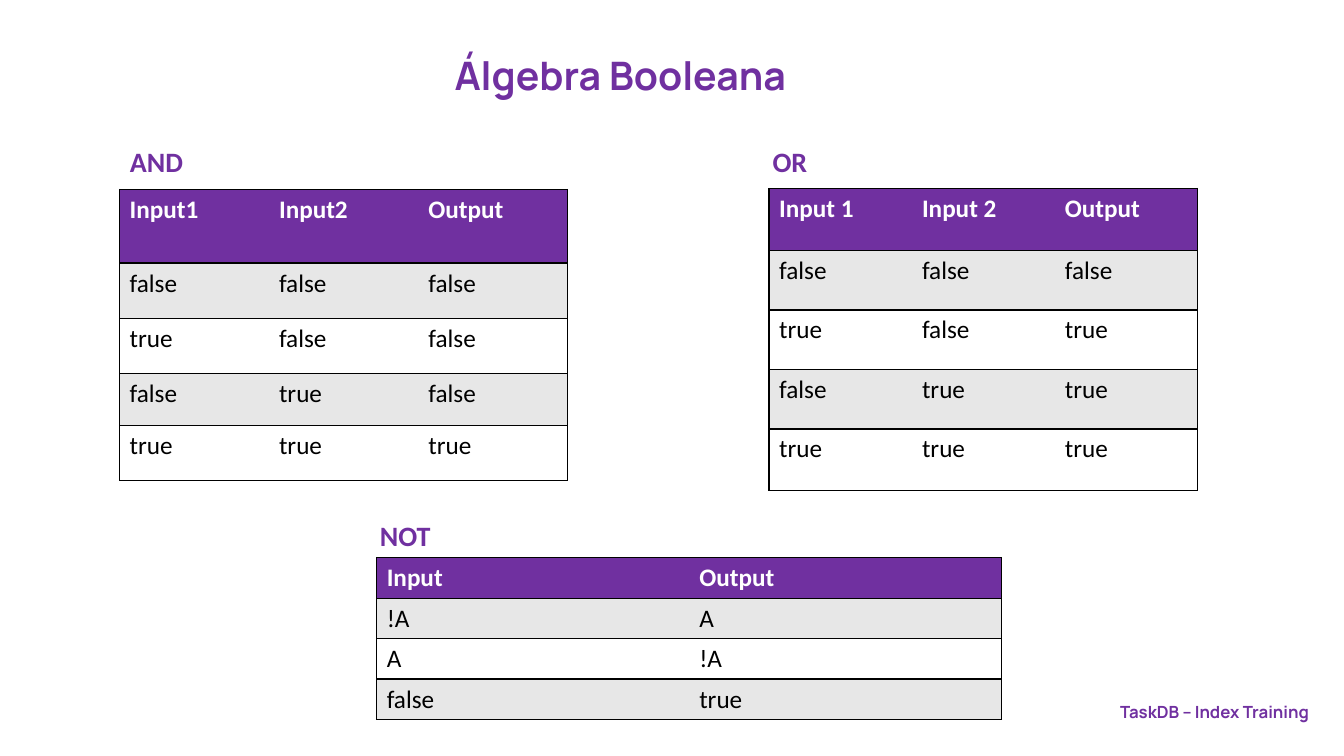
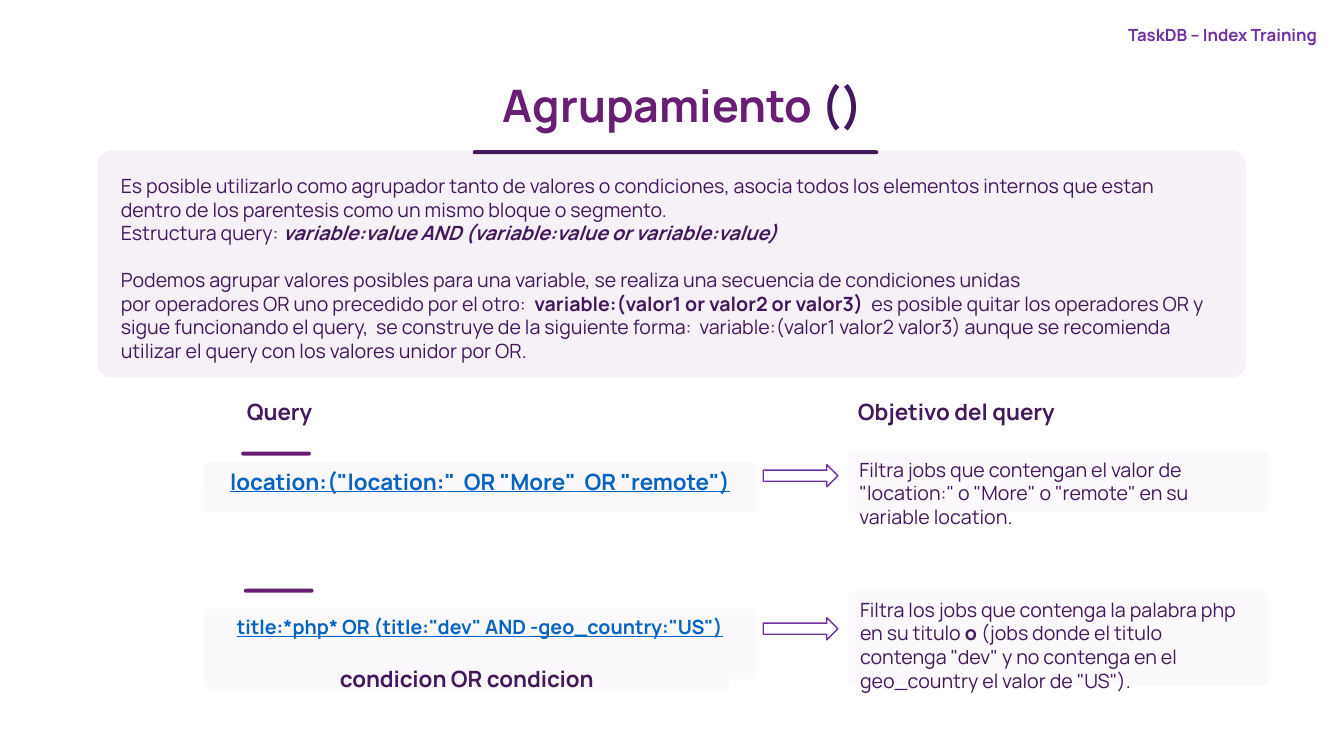
from lxml import etree
from pptx import Presentation, util as u
from pptx.dml.color import RGBColor
from pptx.enum import shapes, text
from pptx.oxml import ns

# Shared look
COLOURS = {
    "purple": "7030A0", "plum": "681E73", "ink": "44185D", "link": "0563C1",
    "panel": "ECE4EE", "card": "FBF9FB", "band": "E7E7E7",
    "white": "FFFFFF", "black": "000000",
}
WIDTH, HEIGHT = u.Inches(13.33), u.Inches(7.5)
FONT, TABLE_FONT = "Manrope", "Calibri"
FOOTER = "TaskDB – Index Training"
CENTER = text.PP_ALIGN.CENTER
ROUND = shapes.MSO_SHAPE.ROUNDED_RECTANGLE
CARD_CORNER, BAR_CORNER = 0.061, 0.5
BAR_HEIGHT = 0.53


def colour(name):
    return RGBColor.from_string(COLOURS[name])


def across(share):
    """Percent of the slide's width."""
    return int(WIDTH * share / 100)


def down(share):
    """Percent of the slide's height."""
    return int(HEIGHT * share / 100)


def place(left, top, width, height):
    return across(left), down(top), across(width), down(height)


# Text
def tie(words):
    """Keep the words on one line with no-break spaces."""
    return words.replace(" ", chr(160))


def style(span, size, ink, bold=False, italic=False, underline=False, font=FONT):
    span.font.name, span.font.size = font, u.Pt(size)
    span.font.bold, span.font.italic = bold, italic
    span.font.underline = underline
    span.font.color.rgb = colour(ink)


def write(box, paragraphs, align=text.PP_ALIGN.LEFT, **look):
    """Each paragraph is a string or a list of (string, changes to the look)."""
    frame = box.text_frame
    frame.word_wrap = True
    frame.vertical_anchor = text.MSO_ANCHOR.TOP
    for index, parts in enumerate(paragraphs):
        para = frame.add_paragraph() if index else frame.paragraphs[0]
        para.alignment = align
        if isinstance(parts, str):
            parts = [(parts, {})]
        for words, changes in parts:
            span = para.add_run()
            span.text = words
            style(span, **{**look, **changes})
    return frame


def add_text(page, area, paragraphs, **look):
    return write(page.shapes.add_textbox(*place(*area)), paragraphs, **look)


def add_footer(page, left, top):
    add_text(page, (left, top, 16.6, 4), [FOOTER], size=12, ink="purple", bold=True)


# Shapes
def add_round(page, area, fill, corner=CARD_CORNER, opacity=None):
    box = page.shapes.add_shape(ROUND, *place(*area))
    box.adjustments[0] = corner
    box.shadow.inherit = False
    box.fill.solid()
    box.fill.fore_color.rgb = colour(fill)
    box.line.fill.background()
    if opacity:
        tint = box.fill._xPr.find(".//" + ns.qn("a:srgbClr"))
        etree.SubElement(tint, ns.qn("a:alpha"), val=str(opacity * 1000))
    return box


def add_bar(page, left, top, width, fill):
    add_round(page, (left, top, width, BAR_HEIGHT), fill, BAR_CORNER)


def add_card(page, area, paragraphs, **look):
    write(add_round(page, area, "card"), paragraphs, **look)


def add_arrow(page, top):
    arrow = page.shapes.add_shape(shapes.MSO_SHAPE.RIGHT_ARROW,
                                  *place(56.79, top, 5.55, 2.93))
    arrow.shadow.inherit = False
    arrow.fill.background()
    arrow.line.color.rgb = colour("purple")
    arrow.line.width = u.Pt(1)


# Tables
def set_borders(cell, sides):
    """Draw the named sides in black and leave the others empty."""
    properties = cell._tc.get_or_add_tcPr()
    for index, side in enumerate("LRTB"):
        line = etree.Element(ns.qn("a:ln" + side), w=str(u.Pt(1)))
        if side in sides:
            fill = etree.SubElement(line, ns.qn("a:solidFill"))
            etree.SubElement(fill, ns.qn("a:srgbClr"), val=COLOURS["black"])
        else:
            etree.SubElement(line, ns.qn("a:noFill"))
        properties.insert(index, line)


def add_truth_table(page, name, name_at, table_at, width, heights, rows):
    add_text(page, (*name_at, 6, 5.87), [name],
             size=20, ink="purple", bold=True, font=TABLE_FONT)
    count = len(rows[0])
    area = place(*table_at, width, sum(heights))
    table = page.shapes.add_table(len(rows), count, *area).table
    table.horz_banding = False
    for column in table.columns:
        column.width = across(width / count)
    for r, (height, values) in enumerate(zip(heights, rows)):
        table.rows[r].height = down(height)
        header = r == 0
        fill = "purple" if header else "band" if r % 2 else "white"
        for c, value in enumerate(values):
            cell = table.cell(r, c)
            cell.text_frame.text = value
            style(cell.text_frame.paragraphs[0].runs[0], 18,
                  "white" if header else "black", bold=header, font=TABLE_FONT)
            cell.fill.solid()
            cell.fill.fore_color.rgb = colour(fill)
            set_borders(cell, "TB" + "L" * (c == 0) + "R" * (c == count - 1))


def gate_rows(header, operation):
    """Truth table of a gate with two inputs."""
    inputs = [(a, b) for b in (False, True) for a in (False, True)]
    return [header] + [[str(value).lower() for value in (a, b, operation(a, b))]
                       for a, b in inputs]


# Slides
def build_boolean_page(page):
    add_truth_table(page, "AND", (8.93, 18.4), (8.9, 25.07), 33.35,
                    [9.73, 7.33, 7.33, 6.8, 7.33],
                    gate_rows(["Input1", "Input2", "Output"], lambda a, b: a and b))
    add_truth_table(page, "OR", (56.74, 18.4), (57.22, 24.93), 31.9,
                    [8.2, 7.87, 7.87, 7.87, 8.13],
                    gate_rows(["Input 1", "Input 2", "Output"], lambda a, b: a or b))
    add_truth_table(page, "NOT", (27.53, 67.87), (28.03, 73.77), 46.51, [5.35] * 4,
                    [["Input", "Output"], ["!A", "A"], ["A", "!A"], ["false", "true"]])
    add_text(page, (33.08, 6.13, 40.36, 7.6), ["Álgebra Booleana"],
             size=28, ink="purple", bold=True)
    add_footer(page, 82.6, 92.13)


def build_grouping_page(page):
    bold, plain = {"bold": True}, {}
    body = {"size": 14, "ink": "ink"}
    heading = {"size": 16, "ink": "ink", "bold": True}
    query = {"ink": "link", "bold": True, "underline": True, "align": CENTER}

    # Title and footer
    title = add_text(page, (31.28, 6.07, 39, 11.07),
                     [[("Agrupamiento ", plain), ("()", {"ink": "ink"})]],
                     size=32, ink="plum", bold=True, align=CENTER)
    title.paragraphs[0].line_spacing = 1.5
    add_footer(page, 83.2, 2.6)

    # Explanation
    add_round(page, (7.25, 19.93, 85.45, 30), "panel", opacity=50)
    explanation = add_text(page, (8.25, 22.4, 82.97, 29.6), [
        "Es posible utilizarlo como agrupador tanto de valores o condiciones, "
        "asocia todos los elementos internos que estan dentro de los parentesis "
        "como un mismo bloque o segmento.",
        [("Estructura query: ", plain),
         ("variable:value AND (variable:value or variable:value)",
          {"bold": True, "italic": True})],
        [("Podemos agrupar valores posibles para una variable, se realiza una "
          "secuencia de condiciones unidas "
          + tie("por operadores OR uno precedido por el otro: ") + " ", plain),
         ("variable:(valor1 or valor2 or valor3)", bold),
         (tie("  es posible") + " quitar los operadores OR y sigue funcionando el "
          "query,  se construye de la siguiente forma:  variable:(valor1 valor2 "
          "valor3) aunque se recomienda utilizar el query con los valores unidor "
          "por OR.", plain)],
    ], **body)
    explanation.paragraphs[2].space_before = u.Pt(16.7)
    add_bar(page, 35.18, 19.87, 30.16, "ink")

    # Column headings
    add_text(page, (17.63, 52, 22.5, 4.93), ["Query"], **heading)
    add_text(page, (63.09, 52, 17.4, 4.93), ["Objetivo del query"], **heading)

    # Queries and what they are for
    add_bar(page, 17.95, 59.73, 5.18, "plum")
    add_card(page, (15.2, 61.12, 41.04, 6.67),
             ['location:("location:"  OR "More"  OR "remote")'], size=16, **query)
    add_arrow(page, 61.47)
    add_card(page, (63.13, 59.73, 31.2, 8),
             ['Filtra jobs que contengan el valor de "location:" o "More" o "remote" '
              'en su variable location.'], **body)

    add_bar(page, 18.15, 77.87, 5.18, "plum")
    add_card(page, (15.2, 80.53, 41.04, 9.33),
             ['title:*php* OR (title:"dev" AND -geo_country:"US")'], size=14, **query)
    add_arrow(page, 81.7)
    add_card(page, (63.13, 78.2, 31.2, 12.53),
             [[("Filtra los jobs que contenga la palabra php en su titulo ", plain),
               ("o ", bold),
               ("(jobs donde el titulo " + tie('contenga "dev"') + " y no contenga "
                'en el geo_country el valor de "US").', plain)]], **body)
    add_card(page, (15.23, 87.2, 39, 4), ["condicion OR condicion"],
             align=CENTER, **heading)


def main():
    deck = Presentation()
    deck.slide_width, deck.slide_height = WIDTH, HEIGHT
    for build in (build_boolean_page, build_grouping_page):
        build(deck.slides.add_slide(deck.slide_layouts[6]))
    deck.save("out.pptx")


if __name__ == "__main__":
    main()
